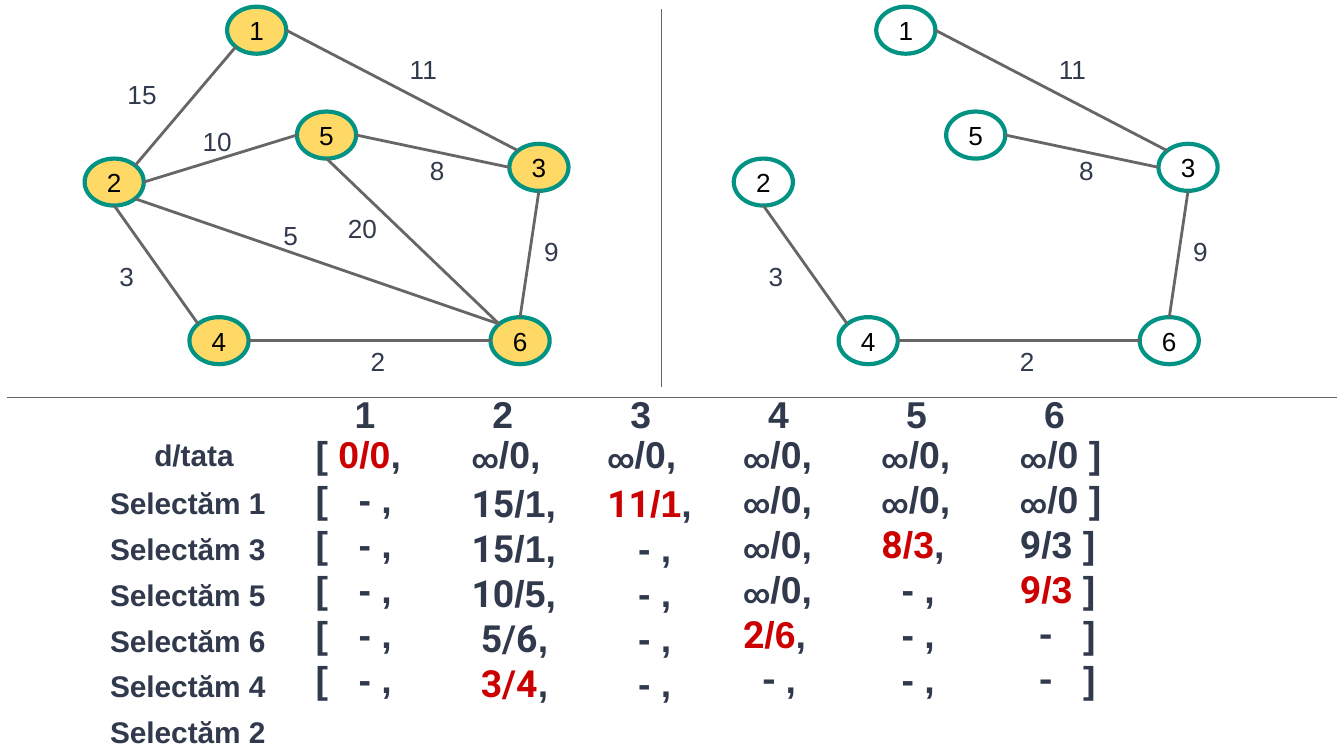
import math

import pptx
import pptx.dml.color
import pptx.enum.shapes
import pptx.enum.text
import pptx.oxml
import pptx.oxml.ns
import pptx.util

Inches = pptx.util.Inches
RGB = pptx.dml.color.RGBColor
INK = RGB(0x31, 0x39, 0x4D)
RED = RGB(0xCC, 0x00, 0x00)
BLACK = RGB(0x00, 0x00, 0x00)
GRAY = RGB(0x66, 0x66, 0x66)
TEAL = RGB(0x00, 0x93, 0x84)
GOLD = RGB(0xFF, 0xD9, 0x66)

NODE_W, NODE_H = 0.44, 0.35
# Node number: left, top
NODES = {1: (1.69, 0.05), 2: (0.63, 1.18), 5: (2.21, 0.83),
         6: (3.65, 2.36), 4: (1.41, 2.36), 3: (3.79, 1.07)}
# Start node, its site, end node, its site, weight, label left, label top.
# Sites run counterclockwise in eighths of a turn, from 0 at the top.
EDGES = [
    (1, 3, 2, 7, 15, 0.85, 0.48),
    (1, 6, 3, 1, 11, 2.95, 0.30),
    (2, 6, 5, 2, 10, 1.41, 0.83),
    (5, 6, 3, 2, 8, 3.10, 1.05),
    (2, 4, 4, 1, 3, 0.79, 1.84),
    (2, 5, 6, 1, 5, 2.01, 1.53),
    (4, 6, 6, 2, 2, 2.66, 2.47),
    (5, 4, 6, 1, 20, 2.49, 1.48),
    (3, 4, 6, 0, 9, 3.95, 1.65),
]
TREE = [edge for edge in EDGES if edge[4] in (11, 8, 3, 2, 9)]

# First letter of each run in a cell: font, size, colour
STYLES = {"a": ("Arial", 20, INK), "A": ("Arial", 20, RED),
          "r": ("Roboto", 20, INK), "R": ("Roboto", 20, RED),
          "i": ("Roboto", 14, INK)}
INF = "i∞|a/0,"
INF_END = "i∞|a/0 ]"
FIRST = "a[\t- ,"
DONE = "a\t- ,"
LAST = "r\t-|a\t]"
ROWS = [
    ["a[ |A0/0|a,", INF, INF, INF, INF, INF_END],
    [FIRST, "r15|a/1,", "R11|A/1|a,", INF, INF, INF_END],
    [FIRST, "r15|a/1,", DONE, INF, "R8|A/3|a,", "r9|a/3 ]"],
    [FIRST, "r10|a/5,", DONE, INF, DONE, "R9|A/3|a ]"],
    [FIRST, "r 5/6|a,", DONE, "R2|A/6|a,", DONE, LAST],
    [FIRST, "r |R3/4|a,", DONE, "r\t- |a,", DONE, LAST],
]
COLS = [0, 1.16, 2.17, 3.18, 4.21, 5.24]
TABS = [(0.32,), (), (0.23,), (0.14,), (0.15,), (0.14, 0.47)]
PICKS = [1, 3, 5, 6, 4, 2]


def style(run, font, size, color, bold):
    run.font.name = font
    run.font.size = pptx.util.Pt(size)
    run.font.color.rgb = color
    run.font.bold = bold


def set_tabs(para, stops):
    props = para._p.get_or_add_pPr()
    tabs = pptx.oxml.parse_xml(
        f"<a:tabLst {pptx.oxml.ns.nsdecls('a')}>"
        + "".join(f'<a:tab pos="{Inches(stop)}" algn="l"/>' for stop in stops)
        + "</a:tabLst>")
    props.append(tabs)


def add_text(slide, left, top, width, height, runs, bold=True, stops=()):
    """Add a text box; each run is (text, font, size, colour)."""
    box = slide.shapes.add_textbox(*map(Inches, (left, top, width, height)))
    frame = box.text_frame
    frame.word_wrap = True
    frame.auto_size = pptx.enum.text.MSO_AUTO_SIZE.SHAPE_TO_FIT_TEXT
    frame.margin_left = frame.margin_right = Inches(0.1)
    frame.margin_top = frame.margin_bottom = Inches(0.1)
    para = frame.paragraphs[0]
    if stops:
        set_tabs(para, stops)
    for words, font, size, color in runs:
        run = para.add_run()
        run.text = words
        style(run, font, size, color, bold)


def add_line(slide, start, end, width):
    line = slide.shapes.add_connector(
        pptx.enum.shapes.MSO_CONNECTOR.STRAIGHT,
        *map(Inches, (*start, *end)))
    line.line.color.rgb = GRAY
    line.line.width = pptx.util.Pt(width)
    line._element.spPr.append(pptx.oxml.parse_xml(
        f"<a:effectLst {pptx.oxml.ns.nsdecls('a')}/>"))


def add_node(slide, left, top, number, fill):
    node = slide.shapes.add_shape(
        pptx.enum.shapes.MSO_SHAPE.OVAL,
        *map(Inches, (left, top, NODE_W, NODE_H)))
    node.shadow.inherit = False
    if fill is None:
        node.fill.background()
    else:
        node.fill.solid()
        node.fill.fore_color.rgb = fill
    node.line.color.rgb = TEAL
    node.line.width = pptx.util.Pt(2.25)
    frame = node.text_frame
    frame.margin_left = frame.margin_right = Inches(0.02)
    frame.margin_top = frame.margin_bottom = Inches(0.02)
    frame.vertical_anchor = pptx.enum.text.MSO_ANCHOR.MIDDLE
    frame.text = str(number)
    para = frame.paragraphs[0]
    para.alignment = pptx.enum.text.PP_ALIGN.CENTER
    style(para.runs[0], "Arial", 14, BLACK, False)


def site_point(left, top, number, site):
    x, y = NODES[number]
    turn = site * math.pi / 4
    return (left + x + NODE_W / 2 * (1 - math.sin(turn)),
            top + y + NODE_H / 2 * (1 - math.cos(turn)))


def add_graph(slide, left, top, edges, fill=None):
    for number, (x, y) in NODES.items():
        add_node(slide, left + x, top + y, number, fill)
    for a, out, b, into, weight, x, y in edges:
        add_line(slide, site_point(left, top, a, out),
                 site_point(left, top, b, into), 1.5)
        add_text(slide, left + x, top + y, 0.52, 0.44,
                 [(str(weight), "Arial", 14, INK)], bold=False)


def add_labels(slide, left, top):
    add_text(slide, left + 0.33, top, 1.2, 0.47,
             [("d/tata", "Arial", 16, INK)])
    for i, pick in enumerate(PICKS):
        add_text(slide, left, top + 0.36 + 0.34 * i, 1.41, 0.47,
                 [(f"Selectăm {pick}", "Arial", 16, INK)])


def add_steps(slide, left, top):
    """Place the node numbers and, below them, one line for each step."""
    for i in range(6):
        add_text(slide, left + 0.29 + 5.13 / 5 * i, top, 0.54, 0.54,
                 [(str(i + 1), "Arial", 20, INK)])
    for i, row in enumerate(ROWS):
        for j, cell in enumerate(row):
            drop = 0.03 if i > 0 and j in (1, 2) else 0
            runs = [(part[1:], *STYLES[part[0]]) for part in cell.split("|")]
            stops = TABS[j] if "\t" in cell else ()
            add_text(slide, left + COLS[j], top + 0.3 + 1.67 / 5 * i + drop,
                     0.85, 0.54, runs, stops=stops)


def main():
    deck = pptx.Presentation()
    deck.slide_width = Inches(10)
    deck.slide_height = deck.slide_width * 9 // 16
    slide = deck.slides.add_slide(deck.slide_layouts[6])
    add_graph(slide, 0, 0, EDGES, GOLD)
    add_graph(slide, 4.83, 0, TREE)
    add_line(slide, (0.05, 2.96), (9.95, 2.96), 0.75)
    add_line(slide, (4.92, 0.07), (4.92, 2.88), 0.75)
    add_labels(slide, 0.72, 3.15)
    add_steps(slide, 2.25, 2.81)
    deck.save("out.pptx")


if __name__ == "__main__":
    main()
